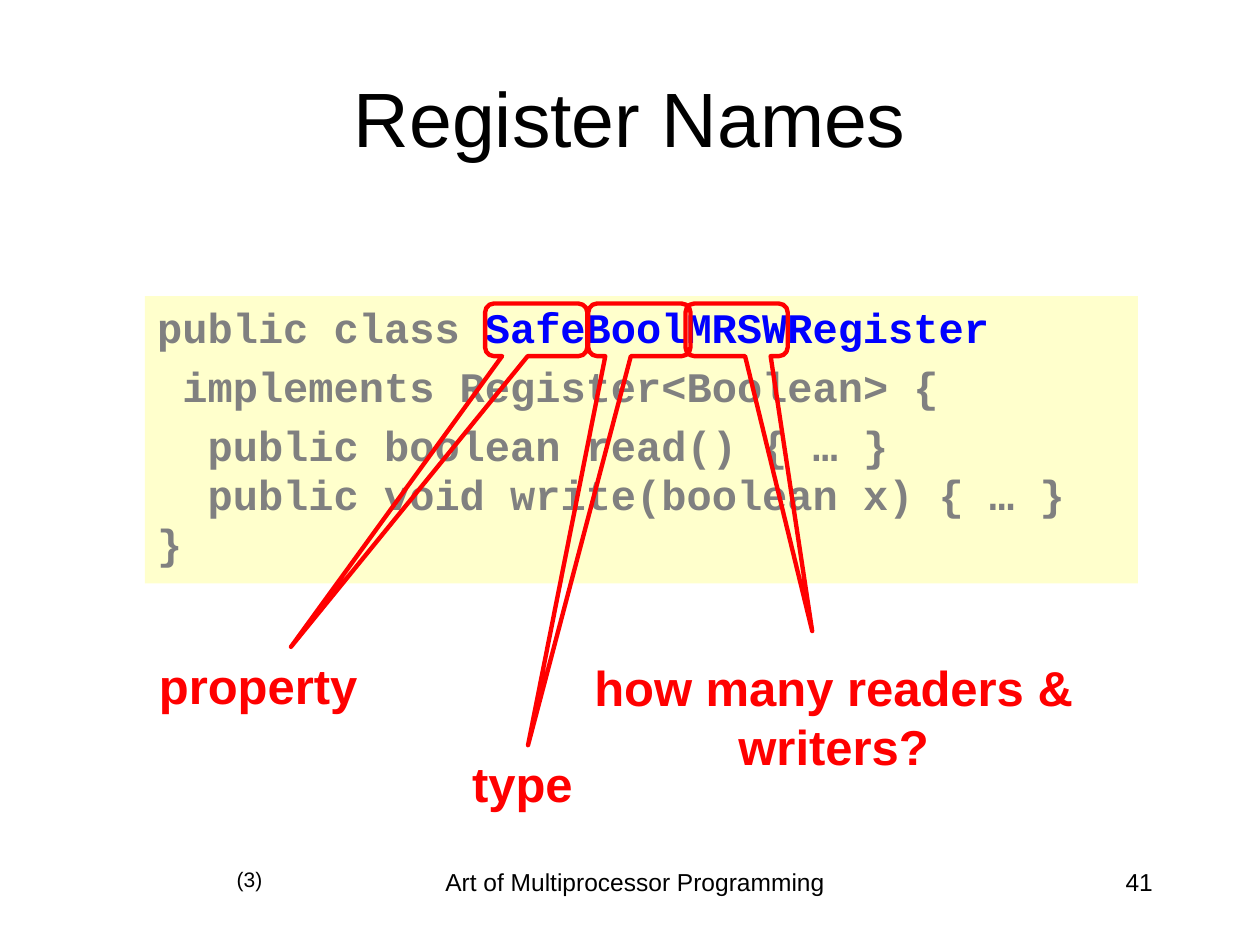
from pptx import Presentation
from pptx.dml.color import RGBColor
from pptx.enum.shapes import MSO_SHAPE
from pptx.enum.text import MSO_ANCHOR, PP_ALIGN
from pptx.util import Cm, Pt

BLACK = RGBColor(0, 0, 0)
RED = RGBColor(255, 0, 0)
BLUE = RGBColor(0, 0, 255)
GRAY = RGBColor(128, 128, 128)
CREAM = RGBColor(255, 255, 204)

TITLE = "Register Names"
CODE = [
    (1, [("public class ", GRAY), ("SafeBoolMRSWRegister", BLUE)]),
    (1, [(" implements Register<Boolean> {", GRAY)]),
    (1, [("  public boolean read() { … }", GRAY)]),
    (0.8, [("  public void write(boolean x) { … }", GRAY)]),
    (0.8, [("}", GRAY)]),
]
CALLS = [
    (9.78, (-2.4, 6.03), "property", (2.36, 13.08, 5.69, 1.45)),
    (11.86, (-1.09, 7.9), "type", (5.36, 15.06, 10.34, 1.45)),
    (13.82, (0.74, 5.73), "how many readers & writers?", (11.23, 13.13, 11.15, 2.64)),
]
FOOT = [
    ("(3)", 12, PP_ALIGN.RIGHT, (4.5, 17.35, 1.04, 0.76), False),
    ("Art of Multiprocessor Programming", 14, PP_ALIGN.CENTER, (8.46, 17.35, 8.69, 1.32), True),
    ("41", 14, PP_ALIGN.RIGHT, (18.21, 17.35, 5.28, 1.27), True),
]


def style(font, size, color, bold=False, name="Arial"):
    font.name = name
    font.size = Pt(size)
    font.bold = bold
    font.color.rgb = color


def label(slide, text, size, align, box, color=BLACK, bold=False, wrap=True):
    frame = slide.shapes.add_textbox(*map(Cm, box)).text_frame
    frame.word_wrap = wrap
    frame.text = text
    line = frame.paragraphs[0]
    line.alignment = align
    style(line.runs[0].font, size, color, bold)


def add_title(slide):
    title = slide.shapes.title
    title.left, title.top, title.width, title.height = map(Cm, (1.27, 0.76, 22.86, 3.18))
    frame = title.text_frame
    frame.text = TITLE
    frame.vertical_anchor = MSO_ANCHOR.MIDDLE
    line = frame.paragraphs[0]
    line.alignment = PP_ALIGN.CENTER
    style(line.runs[0].font, 44, BLACK)


def add_code(slide):
    panel = slide.shapes.add_shape(MSO_SHAPE.RECTANGLE, *map(Cm, (2.92, 5.97, 20.02, 5.79)))
    panel.shadow.inherit = False
    panel.fill.solid()
    panel.fill.fore_color.rgb = CREAM
    panel.line.fill.background()
    frame = panel.text_frame
    frame.word_wrap = True
    frame.vertical_anchor = MSO_ANCHOR.TOP
    frame.margin_top = Cm(0.11)
    for i, (space, parts) in enumerate(CODE):
        line = frame.add_paragraph() if i else frame.paragraphs[0]
        line.alignment = PP_ALIGN.LEFT
        line.line_spacing = space
        if i:
            line.space_before = Pt(4.9)
        for text, color in parts:
            run = line.add_run()
            run.text = text
            style(run.font, 24, color, True, "Courier New")


def add_call(slide, left, tip):
    call = slide.shapes.add_shape(
        MSO_SHAPE.ROUNDED_RECTANGULAR_CALLOUT, Cm(left), Cm(6.12), Cm(2.06), Cm(1.06))
    call.shadow.inherit = False
    call.fill.background()
    call.line.color.rgb = RED
    call.line.width = Pt(2.5)
    call.adjustments[0], call.adjustments[1] = tip


def main():
    deck = Presentation()
    deck.slide_width, deck.slide_height = Cm(25.4), Cm(19.05)
    slide = deck.slides.add_slide(deck.slide_layouts[5])
    add_title(slide)
    add_code(slide)
    for left, tip, text, box in CALLS:
        add_call(slide, left, tip)
        label(slide, text, 28, PP_ALIGN.CENTER, box, RED, True)
    for text, size, align, box, wrap in FOOT:
        label(slide, text, size, align, box, wrap=wrap)
    deck.save("out.pptx")


if __name__ == "__main__":
    main()
